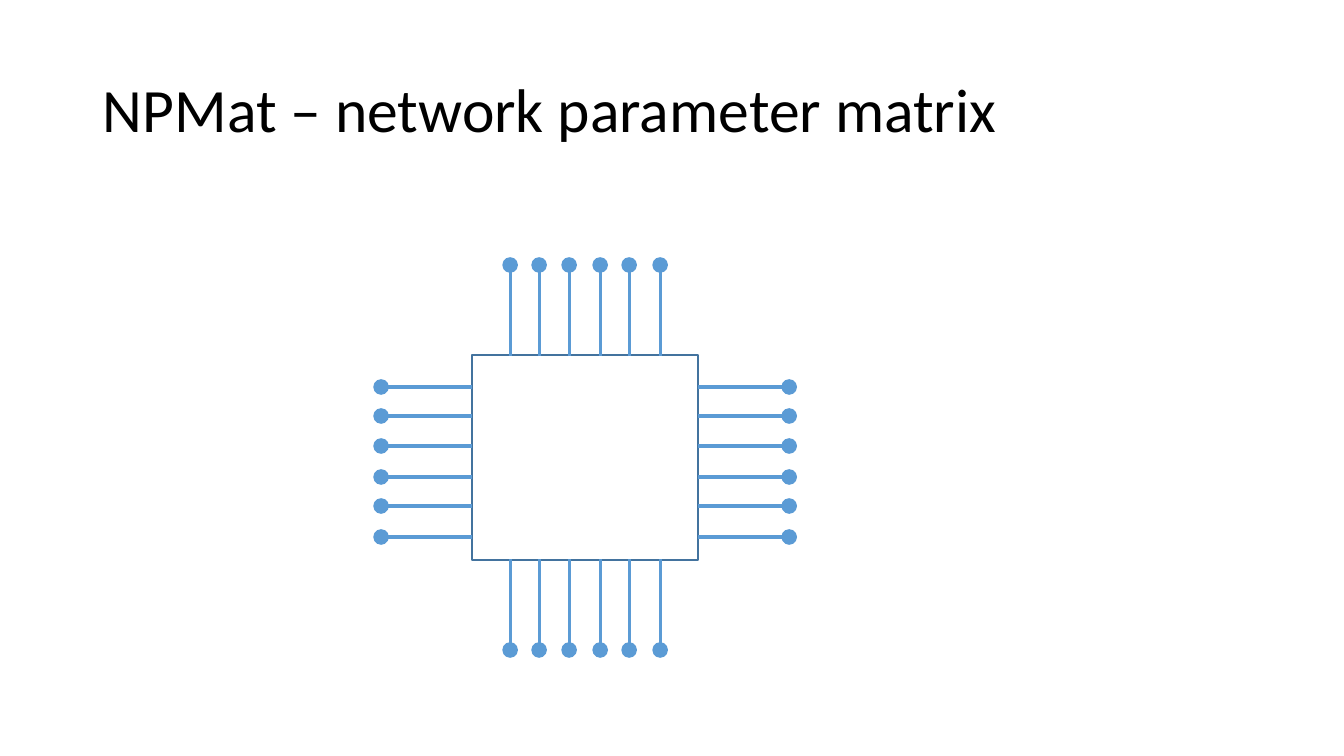
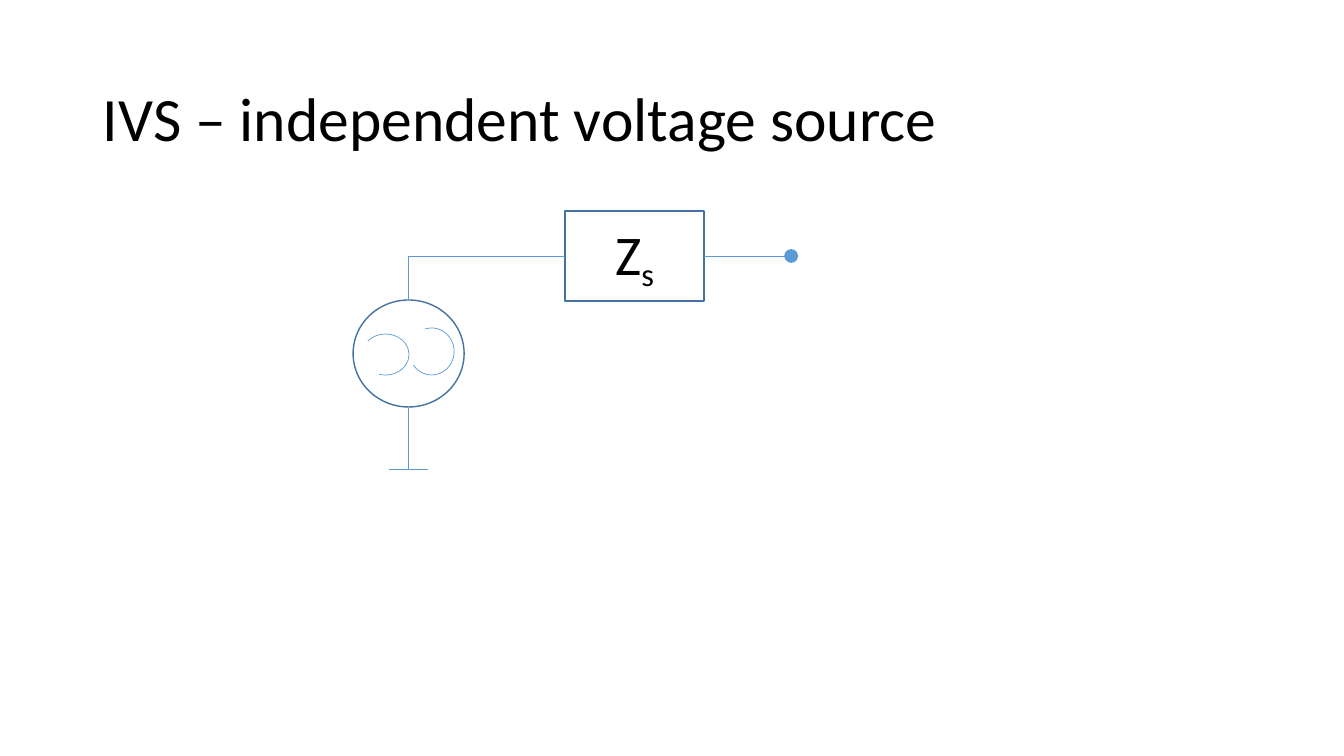
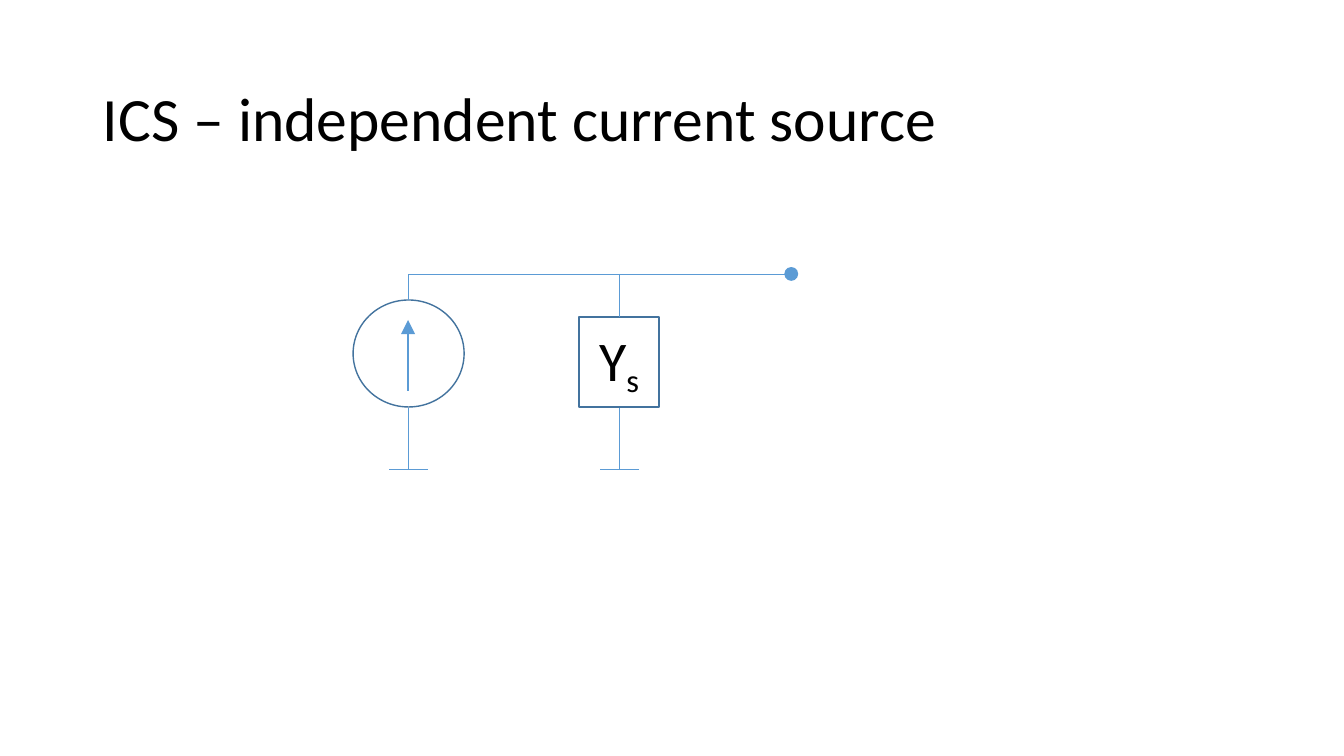
"""Build three slides of circuit symbols: a network block and two sources."""
from lxml import etree
from pptx import Presentation
from pptx.dml.color import RGBColor
from pptx.enum.shapes import MSO_CONNECTOR, MSO_SHAPE
from pptx.enum.text import MSO_ANCHOR, PP_ALIGN
from pptx.oxml.ns import qn
from pptx.util import Inches, Pt

STRAIGHT, ELBOW = MSO_CONNECTOR.STRAIGHT, MSO_CONNECTOR.ELBOW
RECT, OVAL, ARC = MSO_SHAPE.RECTANGLE, MSO_SHAPE.OVAL, MSO_SHAPE.ARC
MIDDLE, CENTER = MSO_ANCHOR.MIDDLE, PP_ALIGN.CENTER

FONT = "Calibri"
BLACK, EDGE, WIRE = "000000", "43739E", "5B9BD5"
THIN, PIN = 0.5, 2.25

MATRIX = ("NPMat \u2013 network parameter matrix", 40)
VOLTAGE = ("IVS \u2013 independent voltage source", 49)
CURRENT = ("ICS \u2013 independent current source", 49)

BLOCK = (472, 355, 226, 205)
STEPS = (0, 29, 59, 90, 119, 150)
COL, ROW, REACH = 510, 387, 91

SOURCE = (353, 300, 111, 107)
AXIS, PORT, FLOOR = 408, 791, 469
SERIES = ("Z", "s", (565, 211, 139, 90))
SHUNT = ("Y", "s", (579, 317, 80, 90))
RAIL = 274
WAVES = [((408, 329, 47, 45), 162.92, False),
         ((365, 331, 41, 47), 162, True)]
WAVE_END = 53.03


def px(n):
    return round(n * 914400 / 100.8)


def rgb(code):
    return RGBColor.from_string(code)


def style(font, size):
    font.name, font.size = FONT, Pt(size)
    font.color.rgb = rgb(BLACK)


def page(title, top):
    slide = deck.slides.add_slide(deck.slide_layouts[6])
    box = slide.shapes.add_textbox(*map(px, (93, top, 1159, 146)))
    frame = box.text_frame
    frame.word_wrap, frame.vertical_anchor = True, MIDDLE
    para = frame.paragraphs[0]
    para.text, para.line_spacing = title, 0.9
    style(para.font, 44)
    return slide.shapes


def outline(shapes, kind, area, color=EDGE, width=1):
    shape = shapes.add_shape(kind, *map(px, area))
    shape.shadow.inherit = False
    shape.fill.background()
    shape.line.color.rgb = rgb(color)
    shape.line.width = Pt(width)
    return shape


def wire(shapes, start, end, width=THIN, head=None, tail=None, kind=STRAIGHT):
    link = shapes.add_connector(kind, *map(px, (*start, *end)))
    link.line.color.rgb = rgb(WIRE)
    link.line.width = Pt(width)
    line = link.line._get_or_add_ln()
    for tag, tip in (("a:headEnd", head), ("a:tailEnd", tail)):
        if tip:
            etree.SubElement(line, qn(tag), type=tip, w="lg", len="lg")
    etree.SubElement(link._element.spPr, qn("a:effectLst"))
    return link


def corner(shapes, start, end, tail=None):
    (left, low), (right, high) = start, end
    midx, midy = (left + right) / 2, (low + high) / 2
    dx, dy = (low - high) / 2, (right - left) / 2
    link = wire(shapes, (midx + dx, midy + dy), (midx - dx, midy - dy),
                tail=tail, kind=ELBOW)
    prop = link._element.spPr
    prop.find(qn("a:xfrm")).set("rot", "5400000")
    prop.find(qn("a:prstGeom")).set("prst", "bentConnector2")


def ground(shapes, x):
    wire(shapes, (x, 408), (x, FLOOR))
    wire(shapes, (x + 20, FLOOR), (x - 19, FLOOR))


def load(shapes, name, sub, area):
    frame = outline(shapes, RECT, area).text_frame
    frame.vertical_anchor = MIDDLE
    para = frame.paragraphs[0]
    para.alignment = CENTER
    style(para.font, 40)
    para.add_run().text = name
    run = para.add_run()
    run.text = sub
    run._r.get_or_add_rPr().set("baseline", "-20000")


def matrix():
    shapes = page(*MATRIX)
    outline(shapes, RECT, BLOCK)
    left, top, width, height = BLOCK
    right, low = left + width, top + height
    for step in STEPS:
        x, y = COL + step, ROW + step
        for start, end in (((left - REACH, y), (left, y)),
                           ((right + REACH, y), (right, y)),
                           ((x, top - REACH + 1), (x, top + 1)),
                           ((x, low + REACH - 1), (x, low - 1))):
            wire(shapes, start, end, PIN, head="oval")


def voltage():
    shapes = page(*VOLTAGE)
    outline(shapes, OVAL, SOURCE)
    load(shapes, *SERIES)
    left, top, width, height = SERIES[2]
    mid = top + height / 2
    corner(shapes, (AXIS, SOURCE[1]), (left, mid))
    ground(shapes, AXIS)
    wire(shapes, (PORT, mid), (left + width, mid), head="oval")
    for area, angle, flip in WAVES:
        wave = outline(shapes, ARC, area, WIRE, THIN)
        wave.rotation = 90
        for i, turn in enumerate((angle, WAVE_END)):
            wave.adjustments[i] = turn * 0.6
        if flip:
            wave._element.spPr.find(qn("a:xfrm")).set("flipH", "1")


def current():
    shapes = page(*CURRENT)
    outline(shapes, OVAL, SOURCE)
    load(shapes, *SHUNT)
    left, top, width, height = SHUNT[2]
    mid = left + width / 2
    corner(shapes, (AXIS, SOURCE[1]), (PORT, RAIL), tail="oval")
    wire(shapes, (AXIS, 391), (AXIS, 320), 2, tail="triangle")
    for x in (AXIS, mid):
        ground(shapes, x)
    wire(shapes, (mid, RAIL), (mid, top))


deck = Presentation()
deck.slide_width, deck.slide_height = Inches(13.33), Inches(7.5)
matrix()
voltage()
current()
deck.save("out.pptx")
